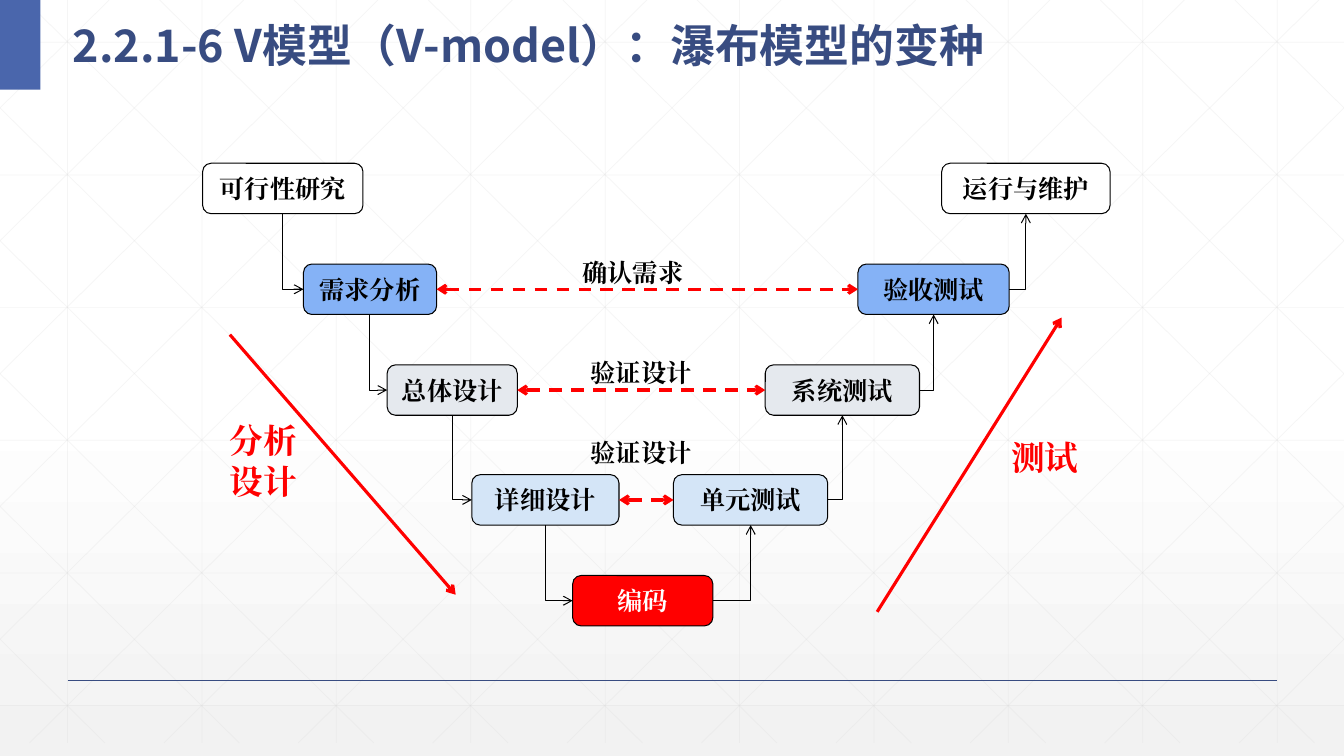
from lxml import etree
from pptx import Presentation
from pptx.dml.color import RGBColor
from pptx.enum.dml import MSO_LINE
from pptx.enum.shapes import MSO_CONNECTOR as LINK, MSO_SHAPE as SHAPE
from pptx.enum.text import MSO_ANCHOR as ANCHOR, MSO_AUTO_SIZE, PP_ALIGN as ALIGN
from pptx.oxml.ns import qn
from pptx.util import Inches, Pt

NAVY = RGBColor(0x38, 0x4C, 0x81)
ACCENT = RGBColor(0x4A, 0x66, 0xAC)
GRID = RGBColor(0xD9, 0xD9, 0xD9)
SMOKE = RGBColor(0xF2, 0xF2, 0xF2)
WHITE = RGBColor(0xFF, 0xFF, 0xFF)
BLACK = RGBColor(0, 0, 0)
RED = RGBColor(0xFF, 0, 0)
BLUE = RGBColor(0x85, 0xB2, 0xF6)
GREY = RGBColor(0xE5, 0xE9, 0xEE)
PALE = RGBColor(0xD4, 0xE5, 0xF7)

TITLE_FONT, BODY_FONT = "Noto Sans CJK SC", "Times New Roman"
WIDTH, HEIGHT, STAGE_HEIGHT = 13.33, 7.5, 0.5

# Content
TITLE = "2.2.1-6 V模型（V-model）：瀑布模型的变种"
STAGES = [  # text, left, top, width, fill: down the left arm, up the right arm
    ("可行性研究", 2.01, 1.62, 1.59, WHITE),
    ("需求分析", 3.01, 2.62, 1.32, BLUE),
    ("总体设计", 3.84, 3.62, 1.29, GREY),
    ("详细设计", 4.68, 4.71, 1.46, PALE),
    ("编码", 5.68, 5.71, 1.39, RED),
    ("单元测试", 6.68, 4.71, 1.53, PALE),
    ("系统测试", 7.59, 3.62, 1.53, GREY),
    ("验收测试", 8.51, 2.62, 1.5, BLUE),
    ("运行与维护", 9.34, 1.62, 1.67, WHITE),
]
CHECKED_PAIRS = [("需求分析", "验收测试"), ("总体设计", "系统测试"), ("详细设计", "单元测试")]
LABELS = [  # lines, left, top, width, height, size, colour
    (["确认需求"], 5.68, 2.5, 1.33, 0.38, 18, BLACK),
    (["验证设计"], 5.76, 3.5, 1.33, 0.38, 18, BLACK),
    (["验证设计"], 5.76, 4.29, 1.33, 0.38, 18, BLACK),
    (["分析", "设计"], 2.18, 4.12, 1.25, 1.08, 24, RED),
    (["测试"], 9.93, 4.29, 1, 0.67, 24, RED),
]
PHASE_ARROWS = [(2.28, 3.32, 4.52, 5.9), (8.7, 6.07, 10.53, 3.15)]

prs = Presentation()
prs.slide_width, prs.slide_height = Inches(WIDTH), Inches(HEIGHT)
slide = prs.slides.add_slide(prs.slide_layouts[5])
shapes = slide.shapes


def set_font(paragraph, name, size, color):
    font = paragraph.font
    font.name, font.size, font.bold = name, Pt(size), True
    font.color.rgb = color
    latin = paragraph._p.pPr.find(qn("a:defRPr")).find(qn("a:latin"))
    east_asian = etree.Element(qn("a:ea"), typeface=name)
    latin.addnext(east_asian)


def add_line(ends, color, width, kind=LINK.STRAIGHT, dashed=False, heads=(), alpha=None):
    line = shapes.add_connector(kind, *map(Inches, ends))
    line.line.color.rgb, line.line.width = color, Pt(width)
    if dashed:
        line.line.dash_style = MSO_LINE.DASH
    props = line._element.spPr
    outline = props.find(qn("a:ln"))
    for head in heads:
        etree.SubElement(outline, qn(f"a:{head}"), type="arrow")
    if alpha:
        rgb = outline.find(qn("a:solidFill"))[0]
        etree.SubElement(rgb, qn("a:alpha"), val=str(alpha * 1000))
    etree.SubElement(props, qn("a:effectLst"))
    return line


def join(start, start_side, end, end_side, *style, **options):
    line = add_line((0, 0, 0, 0), *style, **options)
    line.begin_connect(start, start_side)
    line.end_connect(end, end_side)
    return line


# Background gradient
backdrop = slide.background.fill
backdrop.gradient()
backdrop.gradient_angle = 270
for stop, (position, color) in zip(backdrop.gradient_stops, [(0.53, WHITE), (1, SMOKE)]):
    stop.position, stop.color.rgb = position, color

# Faint grid with both diagonals
STEP_X, STEP_Y, GRID_BOTTOM, DIAGONAL_RUN = WIDTH / 10, 1.316, 7.37, 7.455
grid_lines = [(0.67 + i * STEP_X, 0, 0.67 + i * STEP_X, GRID_BOTTOM) for i in range(10)]
grid_lines += [(0, 0.42 + i * STEP_Y, WIDTH, 0.42 + i * STEP_Y) for i in range(6)]
slope = GRID_BOTTOM / DIAGONAL_RUN
for i in range(-5, 10):
    origin = 0.25 + i * STEP_X
    x1, x2 = max(0, origin), min(WIDTH, origin + DIAGONAL_RUN)
    y1, y2 = (x1 - origin) * slope, (x2 - origin) * slope
    grid_lines += [(x1, y1, x2, y2), (WIDTH - x1, y1, WIDTH - x2, y2)]
for ends in grid_lines:
    add_line(ends, GRID, 0.5, alpha=25)

# Footer rule and corner block
add_line((0.67, 6.75, 12.67, 6.75), NAVY, 1)
corner = shapes.add_shape(SHAPE.RECTANGLE, 0, 0, Inches(0.4), Inches(0.89))
corner.shadow.inherit = False
corner.fill.solid()
corner.fill.fore_color.rgb = ACCENT
corner.line.fill.background()

# Title, in front of the grid
title = shapes.title
shapes._spTree.append(title._element)
title.left, title.top, title.width, title.height = map(Inches, (0.62, 0, 10.69, 0.73))
title.text_frame.text = TITLE
title.text_frame.auto_size = MSO_AUTO_SIZE.NONE
title.text_frame.vertical_anchor = ANCHOR.MIDDLE
heading = title.text_frame.paragraphs[0]
heading.alignment, heading.line_spacing = ALIGN.LEFT, 1.3
set_font(heading, TITLE_FONT, 32, NAVY)

# Stages of the V
stages = {}
for text, left, top, width, fill in STAGES:
    stage = shapes.add_shape(SHAPE.ROUNDED_RECTANGLE, *map(Inches, (left, top, width, STAGE_HEIGHT)))
    stage.shadow.inherit = False
    stage.fill.solid()
    stage.fill.fore_color.rgb = fill
    stage.line.color.rgb, stage.line.width = BLACK, Pt(0.75)
    stage.text_frame.text = text
    stage.text_frame.vertical_anchor = ANCHOR.MIDDLE
    caption = stage.text_frame.paragraphs[0]
    caption.alignment = ALIGN.CENTER
    set_font(caption, BODY_FONT, 18, WHITE if fill == RED else BLACK)
    stages[text] = stage

# Elbow arrows: each leaves a box's side and meets the bottom of the box above
chain = list(stages.values())
for earlier, later in zip(chain, chain[1:]):
    if later.top > earlier.top:
        elbow = join(later, 1, earlier, 2, BLACK, 0.75, kind=LINK.ELBOW, heads=["headEnd"])
    else:
        elbow = join(earlier, 3, later, 2, BLACK, 0.75, kind=LINK.ELBOW, heads=["tailEnd"])
    elbow._element.spPr.find(qn("a:prstGeom")).set("prst", "bentConnector2")

# Dashed checks between the arms, and the phase arrows
for design, test in CHECKED_PAIRS:
    join(stages[design], 3, stages[test], 1, RED, 2.25, dashed=True, heads=["headEnd", "tailEnd"])
for ends in PHASE_ARROWS:
    add_line(ends, RED, 2.25, heads=["tailEnd"])

# Labels
for lines, left, top, width, height, size, color in LABELS:
    label = shapes.add_textbox(*map(Inches, (left, top, width, height))).text_frame
    label.word_wrap = True
    label.text = "\n".join(lines)
    for paragraph in label.paragraphs:
        set_font(paragraph, BODY_FONT, size, color)

prs.save("out.pptx")
